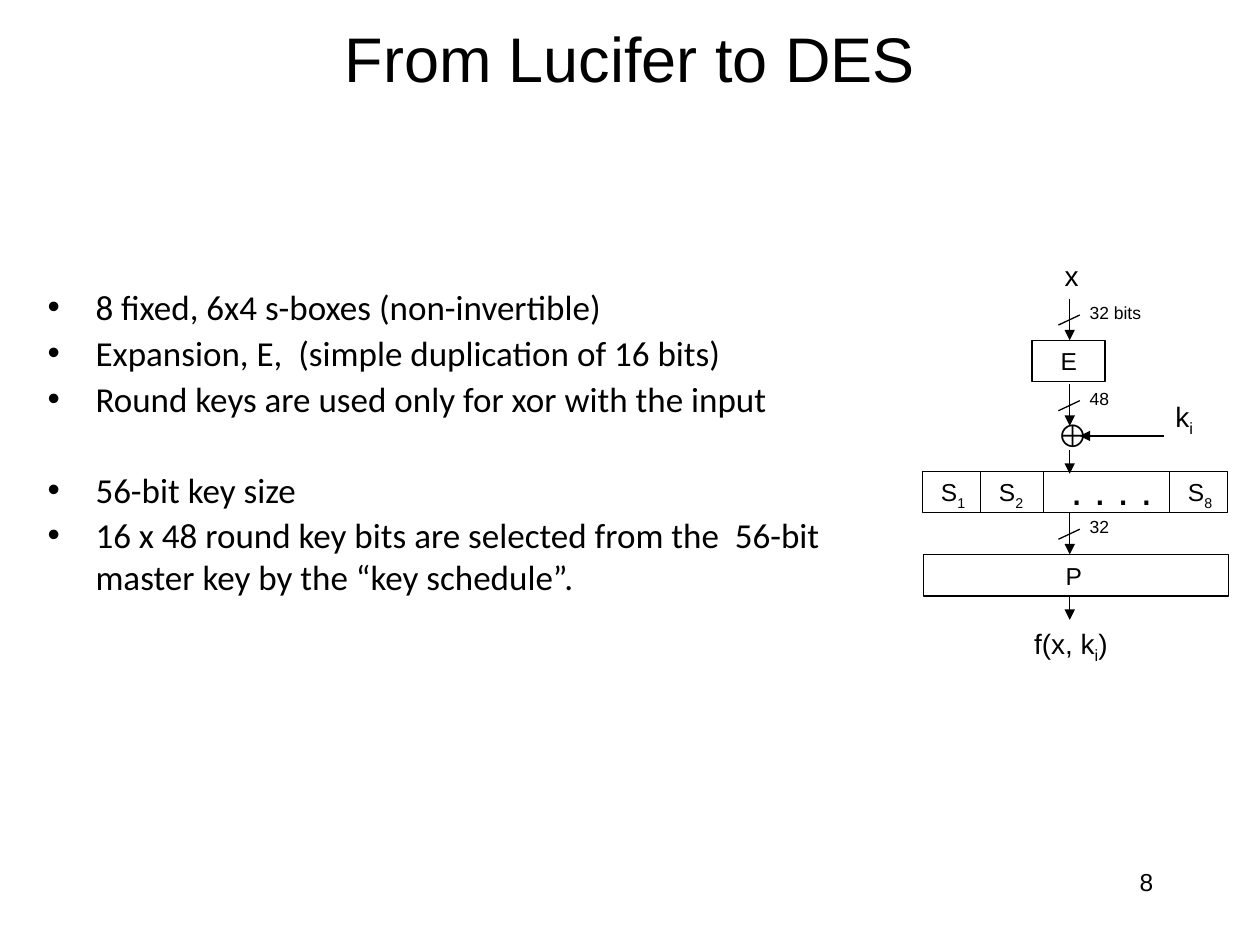
import pptx
import pptx.util
import pptx.dml.color
import pptx.enum.shapes
import pptx.enum.text
import pptx.oxml.ns
import lxml.etree

Inches = pptx.util.Inches
Pt = pptx.util.Pt
ALIGN = pptx.enum.text.PP_ALIGN
ANCHOR = pptx.enum.text.MSO_ANCHOR
FIT = pptx.enum.text.MSO_AUTO_SIZE
COLORS = {"ink": "000000"}
AXIS = 8.49  # x of the downward data flow
ROW = 0.33  # height of the diagram boxes
LEFT, WIDE = 7.32, 2.42

POINTS = [
    ("8 fixed, 6x4 s-boxes (non-invertible)", 2),
    ("Expansion, E,  (simple duplication of 16 bits)", 2),
    ("Round keys are used only for xor with the input", 2),
    ("56-bit key size", 28),
    ("16 x 48 round key bits are selected from the  56-bit master key "
     "by the “key schedule”.", 2),
]


def ink():
    return pptx.dml.color.RGBColor.from_string(COLORS["ink"])


def style(item, values):
    for name, value in values.items():
        setattr(item, name, value)


def add_sub(node, tag, **attrs):
    return lxml.etree.SubElement(node, pptx.oxml.ns.qn(tag), attrs)


def add_run(para, text, size, font="Arial", sub=False):
    run = para.add_run()
    run.text = text
    style(run.font, {"size": Pt(size), "name": font})
    run.font.color.rgb = ink()
    if sub:
        run._r.get_or_add_rPr().set("baseline", "-25000")


def add_box(slide, place, **frame):
    """Add an empty text box and return its text frame."""
    box = slide.shapes.add_textbox(*map(Inches, place))
    style(box.text_frame, {"word_wrap": True, **frame})
    return box.text_frame


def add_label(slide, place, size, *parts):
    """Add a one-line label; every second part is a subscript."""
    frame = add_box(slide, place, word_wrap=False,
                    auto_size=FIT.SHAPE_TO_FIT_TEXT)
    for i, part in enumerate(parts):
        add_run(frame.paragraphs[0], part, size, sub=i % 2 == 1)


def add_line(slide, x1, y1, x2, y2, arrow=False):
    line = slide.shapes.add_connector(
        pptx.enum.shapes.MSO_CONNECTOR.STRAIGHT,
        *map(Inches, (x1, y1, x2, y2)))
    line.line.width = Pt(0.75)
    line.line.color.rgb = ink()
    if arrow:
        add_sub(line.line._get_or_add_ln(), "a:tailEnd", type="triangle")
    add_sub(line._element.spPr, "a:effectLst")


def add_rect(slide, *place):
    rect = slide.shapes.add_shape(
        pptx.enum.shapes.MSO_SHAPE.RECTANGLE, *map(Inches, place))
    rect.shadow.inherit = False
    rect.fill.background()
    rect.line.width = Pt(0.75)
    rect.line.color.rgb = ink()


def add_flow(slide, top, end, bits=None):
    """Add a downward arrow, with a slash and a bit count if given."""
    add_line(slide, AXIS, top, AXIS, end, arrow=True)
    if bits:
        add_line(slide, 8.4, top + 0.21, 8.57, top + 0.13)
        wide = 0.62 if "bits" in bits else 0.37
        add_label(slide, (8.55, top - 0.02, wide, 0.27), 10, bits)


def add_head(slide):
    frame = add_box(slide, (0.75, 0.08, 8.5, 0.75),
                    vertical_anchor=ANCHOR.MIDDLE)
    frame.paragraphs[0].alignment = ALIGN.CENTER
    add_run(frame.paragraphs[0], "From Lucifer to DES", 36)


def add_points(slide):
    frame = add_box(slide, (0.28, 2.22, 6.89, 3.08))
    for i, (text, gap) in enumerate(POINTS):
        para = frame.add_paragraph() if i else frame.paragraphs[0]
        para.space_before = Pt(gap)
        props = para._p.get_or_add_pPr()
        props.set("marL", str(Inches(0.38)))
        props.set("indent", str(Inches(-0.38)))
        add_sub(props, "a:buFont", typeface="Arial")
        add_sub(props, "a:buChar", char="•")
        add_run(para, text, 20, "Calibri")


def add_sboxes(slide, top):
    add_rect(slide, LEFT, top, WIDE, ROW)
    for x in (7.78, 8.28, 9.28):
        add_line(slide, x, top, x, top + ROW)
    for x, num in ((7.37, "1"), (7.83, "2"), (9.33, "8")):
        add_label(slide, (x, top, 0.4, ROW), 14, "S", num)
    add_label(slide, (8.4, top - 0.11, 0.85, 0.5), 24, ". . . .")


def add_round(slide):
    """Draw the round function from x down to f(x, k)."""
    add_label(slide, (8.35, 2, 0.31, 0.37), 16, "x")
    add_flow(slide, 2.37, 2.7, "32 bits")
    add_rect(slide, 8.19, 2.7, 0.58, ROW)
    add_label(slide, (8.32, 2.7, 0.33, ROW), 14, "E")
    add_flow(slide, 3.05, 3.38, "48")
    add_label(slide, (8.29, 3.25, 0.39, 0.4), 18, "⊕")
    add_line(slide, 9.24, 3.46, 8.57, 3.46, arrow=True)
    add_label(slide, (9.23, 3.12, 0.35, 0.37), 16, "k", "i")
    add_flow(slide, 3.57, 3.76)
    add_sboxes(slide, 3.74)
    add_flow(slide, 4.07, 4.4, "32")
    add_rect(slide, LEFT + 0.01, 4.4, WIDE, ROW)
    add_label(slide, (8.36, 4.4, 0.33, ROW), 14, "P")
    add_flow(slide, 4.74, 4.92)
    add_label(slide, (8.11, 4.92, 0.8, 0.37), 16, "f(x, k", "i", ")")


def add_number(slide):
    frame = add_box(slide, (7.17, 6.83, 2.08, 0.5))
    frame.paragraphs[0].alignment = ALIGN.RIGHT
    add_run(frame.paragraphs[0], "8", 14)


def main():
    deck = pptx.Presentation()
    style(deck, {"slide_width": Inches(10), "slide_height": Inches(7.5)})
    slide = deck.slides.add_slide(deck.slide_layouts[6])
    add_head(slide)
    add_points(slide)
    add_round(slide)
    add_number(slide)
    deck.save("out.pptx")


if __name__ == "__main__":
    main()
